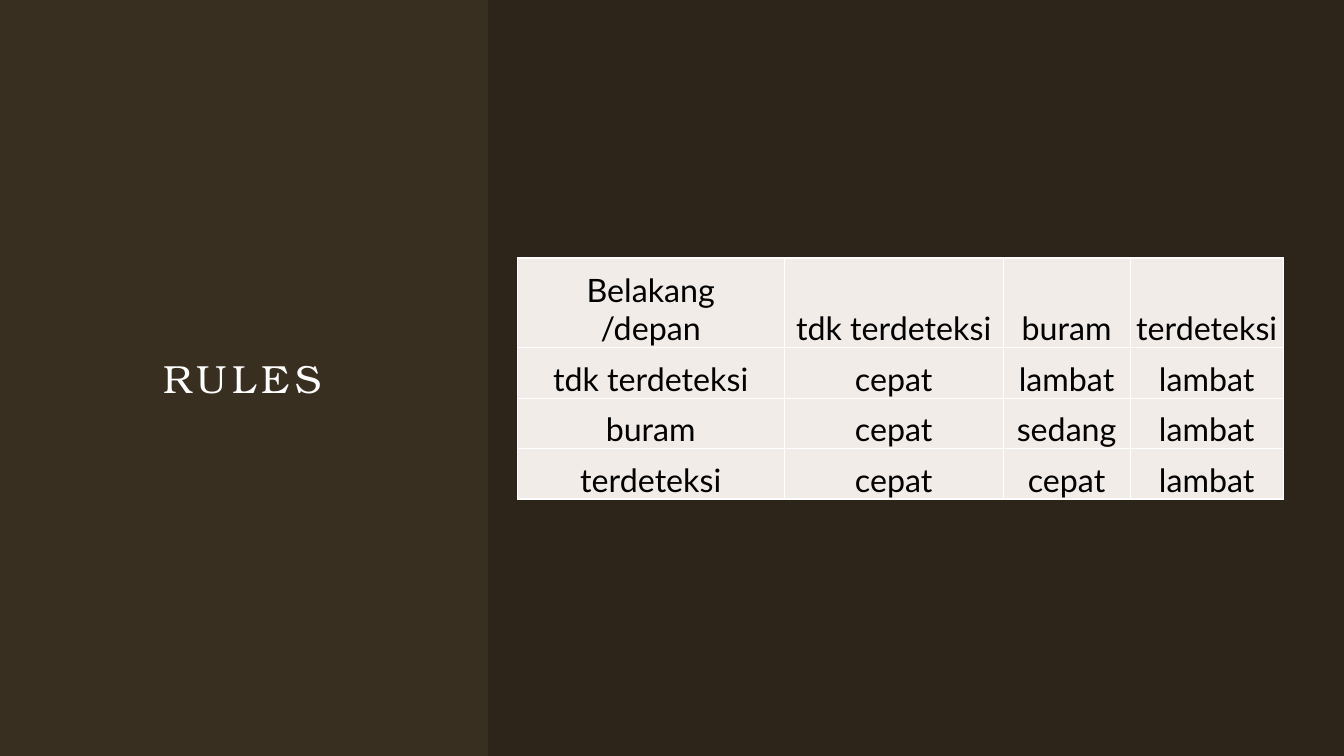
from typing import NamedTuple

from pptx import Presentation
from pptx.dml.color import RGBColor
from pptx.enum.shapes import MSO_SHAPE as Preset
from pptx.enum.text import MSO_ANCHOR as Anchor, PP_ALIGN as Align
from pptx.oxml import parse_xml
from pptx.oxml.ns import nsdecls
from pptx.util import Inches, Pt

BROWN, BLACK, WHITE, CREAM = "392F20", "000000", "FFFFFF", "F2ECE8"
BORDER_SIDES = ("lnL", "lnR", "lnT", "lnB")


class Area(NamedTuple):
    left: float
    top: float
    width: float
    height: float

    def lengths(self) -> list:
        return [Inches(value) for value in self]


class RuleRow(NamedTuple):
    height: float
    texts: tuple


COLUMN_WIDTHS = (2.65, 2.17, 1.26, 1.52)
RULE_ROWS = (
    RuleRow(0.89, ("Belakang\n/depan", "tdk terdeteksi", "buram", "terdeteksi")),
    RuleRow(0.5, ("tdk terdeteksi", "cepat", "lambat", "lambat")),
    RuleRow(0.5, ("buram", "cepat", "sedang", "lambat")),
    RuleRow(0.5, ("terdeteksi", "cepat", "cepat", "lambat")),
)


def paint(fill, color: str) -> None:
    fill.solid()
    fill.fore_color.rgb = RGBColor.from_string(color)


def write(frame, text: str, *, font: str, size: float, color: str,
          spacing: float = 0) -> None:
    """Fill a text frame with centred paragraphs, one for each line."""
    for index, line in enumerate(text.split("\n")):
        para = frame.add_paragraph() if index else frame.paragraphs[0]
        para.alignment = Align.CENTER
        span = para.add_run()
        span.text = line
        span.font.name = font
        span.font.size = Pt(size)
        span.font.color.rgb = RGBColor.from_string(color)
        if spacing:
            span.font._element.set("spc", str(int(spacing * 100)))


def set_margins(holder, side: float, bottom: float) -> None:
    holder.margin_left = holder.margin_right = holder.margin_top = Inches(side)
    holder.margin_bottom = Inches(bottom)


def add_borders(cell, color: str, width: float) -> None:
    properties = cell._tc.get_or_add_tcPr()
    for index, side in enumerate(BORDER_SIDES):
        properties.insert(index, parse_xml(
            f'<a:{side} {nsdecls("a")} w="{Pt(width)}"><a:solidFill>'
            f'<a:srgbClr val="{color}"/></a:solidFill></a:{side}>'))


def add_title(page, area: Area, text: str) -> None:
    box = page.shapes.add_textbox(*area.lengths())
    frame = box.text_frame
    frame.word_wrap = True
    frame.vertical_anchor = Anchor.MIDDLE
    set_margins(frame, 0, 0)
    write(frame, text, font="TeX Gyre Bonum", size=28, color=WHITE, spacing=4)


def add_panel(page, area: Area, color: str, opacity: int) -> None:
    panel = page.shapes.add_shape(Preset.RECTANGLE, *area.lengths())
    panel.shadow.inherit = False
    panel.line.fill.background()
    paint(panel.fill, color)
    shade = panel.fill._xPr.solidFill.srgbClr
    shade.append(parse_xml(f'<a:alpha {nsdecls("a")} val="{opacity * 1000}"/>'))


def add_rules_table(page, area: Area) -> None:
    table = page.shapes.add_table(
        len(RULE_ROWS), len(COLUMN_WIDTHS), *area.lengths()).table
    table.first_row = table.horz_banding = False
    for column, width in zip(table.columns, COLUMN_WIDTHS):
        column.width = Inches(width)
    for row, rule in zip(table.rows, RULE_ROWS):
        row.height = Inches(rule.height)
        for cell, text in zip(row.cells, rule.texts):
            paint(cell.fill, CREAM)
            add_borders(cell, WHITE, 1)
            set_margins(cell, 0.02, 0)
            cell.vertical_anchor = Anchor.BOTTOM
            write(cell.text_frame, text, font="Lato", size=23, color=BLACK)


# Deck and page
deck = Presentation()
deck.slide_width, deck.slide_height = Inches(13.33), Inches(7.5)
page = deck.slides.add_slide(deck.slide_layouts[6])
paint(page.background.fill, BROWN)

# Title on the left, shaded panel with the rules on the right
add_title(page, Area(0.59, 1.18, 3.63, 5.13), "RULES")
add_panel(page, Area(4.84, 0, 8.49, 7.5), BLACK, opacity=20)
add_rules_table(page, Area(5.13, 2.56, 7.6, 2.39))

deck.save("out.pptx")
